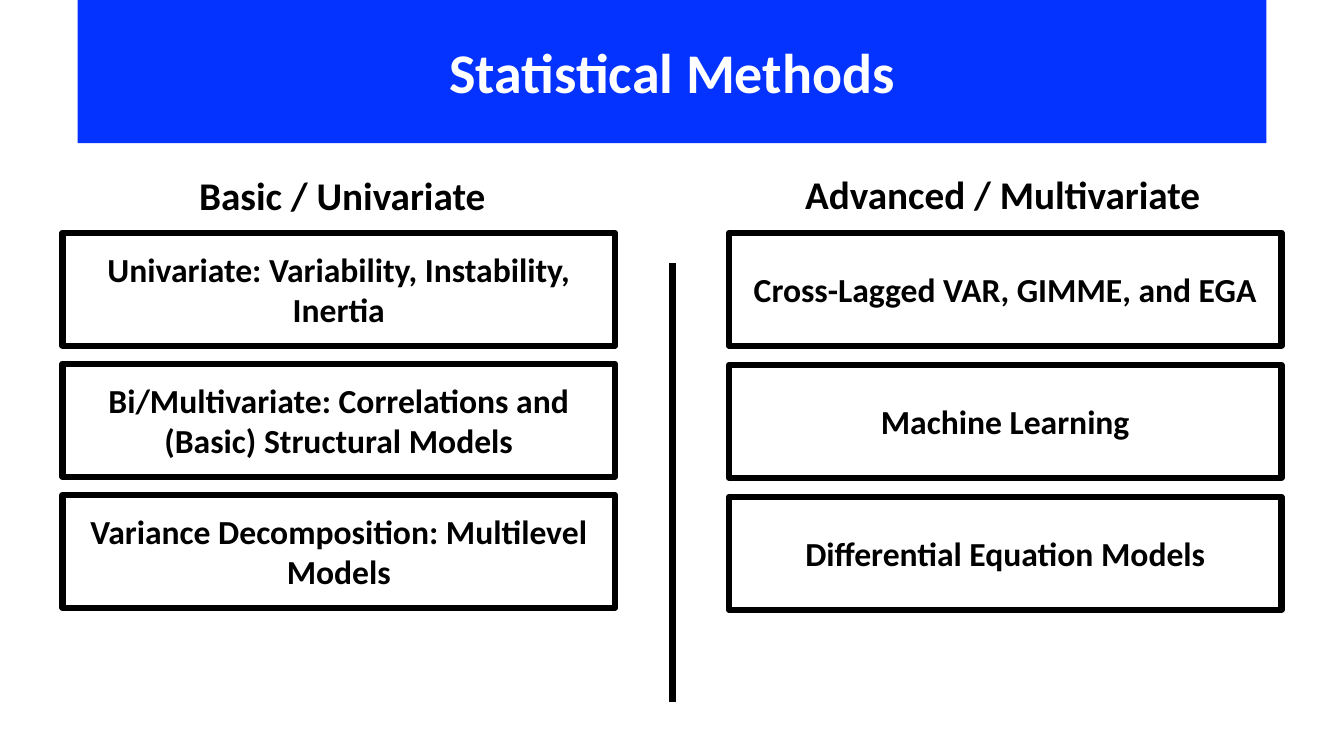
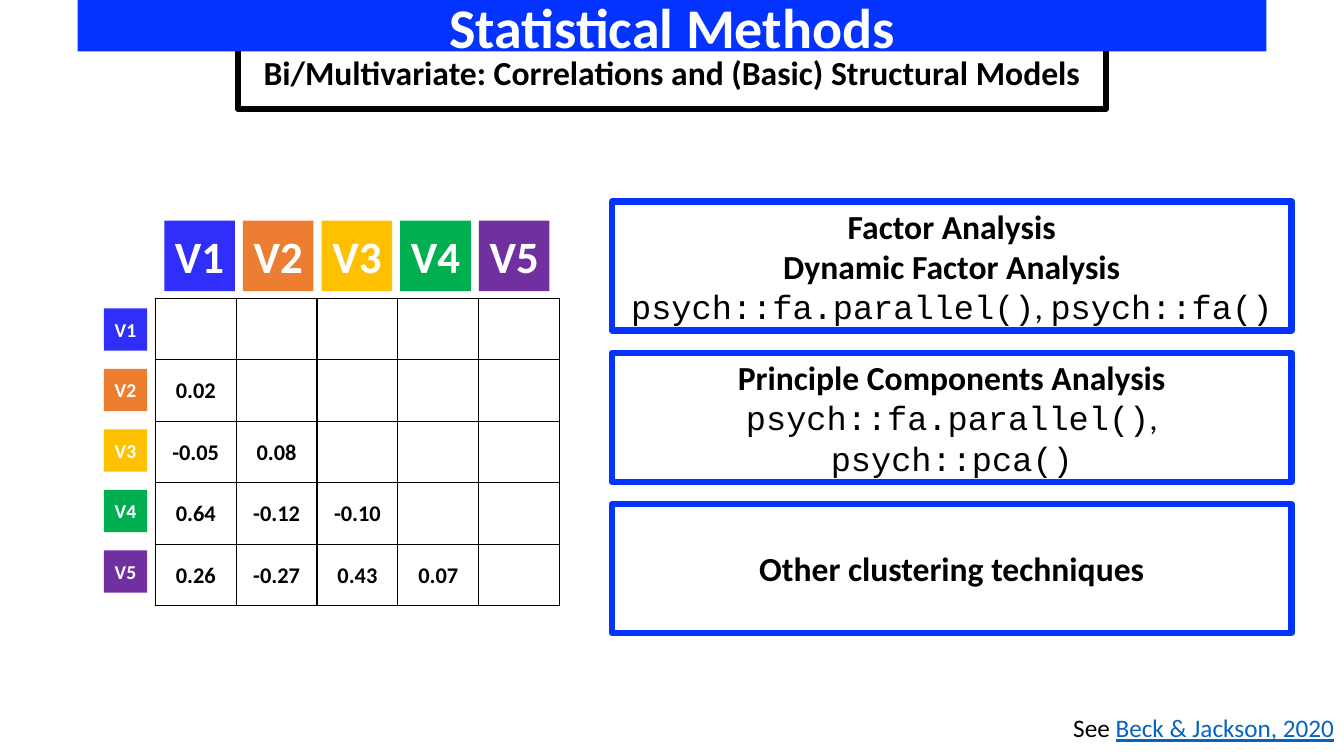
from dataclasses import dataclass

from lxml import etree
from pptx import Presentation
from pptx.dml.color import RGBColor
from pptx.enum.shapes import MSO_CONNECTOR, MSO_SHAPE
from pptx.enum.text import MSO_ANCHOR, MSO_AUTO_SIZE, PP_ALIGN
from pptx.oxml.ns import qn
from pptx.util import Inches, Pt

RECTANGLE = MSO_SHAPE.RECTANGLE
STRAIGHT = MSO_CONNECTOR.STRAIGHT
MIDDLE = MSO_ANCHOR.MIDDLE
CENTER = PP_ALIGN.CENTER
RIGHT = PP_ALIGN.RIGHT
NO_AUTOFIT = MSO_AUTO_SIZE.NONE

BLACK = "000000"
WHITE = "FFFFFF"
BLUE = "0432FF"
LINK_BLUE = "0563C1"
BODY_FONT = "Calibri"
CODE_FONT = "Courier New"
TITLE_ONLY = 5
BORDER_WIDTH = 4.5

DECK_TITLE = "Statistical Methods"
STRUCTURAL_MODELS = "Bi/Multivariate: Correlations and (Basic) Structural Models"


@dataclass
class Run:
    text: str
    color: str = BLACK
    font: str = BODY_FONT
    bold: bool = True
    underline: bool = False


def rgb(color):
    return RGBColor.from_string(color)


def code_line(*calls):
    runs = []
    for index, call in enumerate(calls):
        if index:
            runs.append(Run(", ", bold=False))
        runs.append(Run(call, font=CODE_FONT, bold=False))
    return runs


class Deck:
    def __init__(self):
        self.presentation = Presentation()
        self.presentation.slide_width = Inches(13.33)
        self.presentation.slide_height = Inches(7.5)
        self.slide = None

    def add_slide(self, band_height):
        layout = self.presentation.slide_layouts[TITLE_ONLY]
        self.slide = self.presentation.slides.add_slide(layout)
        title = self.slide.shapes.title
        title.left, title.top = Inches(0.77), Inches(0)
        title.width, title.height = Inches(11.79), Inches(band_height)
        self.paint(title, BLUE)
        self.fill_frame(title.text_frame, [[Run(DECK_TITLE, WHITE)]], 40)

    def paint(self, shape, fill=None, line=None):
        if fill:
            shape.fill.solid()
            shape.fill.fore_color.rgb = rgb(fill)
        else:
            shape.fill.background()
        if line:
            shape.line.color.rgb = rgb(line)
            shape.line.width = Pt(BORDER_WIDTH)
        else:
            shape.line.fill.background()

    def fill_frame(self, frame, paragraphs, size, alignment=CENTER):
        frame.word_wrap = True
        frame.auto_size = NO_AUTOFIT
        frame.vertical_anchor = MIDDLE
        for index, runs in enumerate(paragraphs):
            paragraph = frame.add_paragraph() if index else frame.paragraphs[0]
            self.fill_paragraph(paragraph, runs, size, alignment)

    def fill_paragraph(self, paragraph, runs, size, alignment=CENTER):
        paragraph.alignment = alignment
        for item in runs:
            run = paragraph.add_run()
            run.text = item.text
            run.font.name = item.font
            run.font.size = Pt(size)
            run.font.bold = item.bold
            run.font.underline = item.underline
            run.font.color.rgb = rgb(item.color)

    def box(self, left, top, width, height, paragraphs, size, fill=None, line=None):
        shape = self.slide.shapes.add_shape(
            RECTANGLE, Inches(left), Inches(top), Inches(width), Inches(height))
        shape.shadow.inherit = False
        self.paint(shape, fill, line)
        self.fill_frame(shape.text_frame, paragraphs, size)
        return shape

    def subtitle(self, text):
        shape = self.box(2.36, 0.34, 8.61, 0.74, [[Run(text)]], 24, WHITE, BLACK)
        self.slide.shapes.title.element.addprevious(shape.element)

    def note(self, left, top, width, height, runs):
        shape = self.slide.shapes.add_textbox(
            Inches(left), Inches(top), Inches(width), Inches(height))
        self.fill_frame(shape.text_frame, [runs], 18, RIGHT)

    def vertical_line(self, x, top, bottom):
        connector = self.slide.shapes.add_connector(
            STRAIGHT, Inches(x), Inches(top), Inches(x), Inches(bottom))
        connector.line.color.rgb = rgb(BLACK)
        connector.line.width = Pt(BORDER_WIDTH)
        etree.SubElement(connector.element.spPr, qn("a:effectLst"))

    def border_cell(self, cell):
        properties = cell._tc.get_or_add_tcPr()
        for side in ("a:lnL", "a:lnR", "a:lnT", "a:lnB"):
            line = etree.SubElement(properties, qn(side), w=str(Pt(1)))
            solid = etree.SubElement(line, qn("a:solidFill"))
            etree.SubElement(solid, qn("a:srgbClr"), val=BLACK)

    def lower_triangle(self, left, top, width, height, values):
        count = len(values)
        table = self.slide.shapes.add_table(
            count, count, Inches(left), Inches(top), Inches(width), Inches(height)).table
        table.first_row = False
        table.horz_banding = False
        for row, row_values in enumerate(values):
            for column in range(count):
                cell = table.cell(row, column)
                self.border_cell(cell)
                cell.fill.background()
                cell.vertical_anchor = MIDDLE
                cell.margin_left = cell.margin_right = cell.margin_top = Inches(0.01)
                cell.margin_bottom = Inches(0)
                if column < len(row_values):
                    runs = [Run(row_values[column])]
                    self.fill_paragraph(cell.text_frame.paragraphs[0], runs, 16)


def build_overview(deck):
    deck.add_slide(1.42)
    columns = [
        (0.62, 1.3, (0.68, 1.7), "Basic / Univariate", [
            "Univariate: Variability, Instability, Inertia",
            STRUCTURAL_MODELS,
            "Variance Decomposition: Multilevel Models",
        ]),
        (7.23, 1.31, (7.23, 1.69), "Advanced / Multivariate", [
            "Cross-Lagged VAR, GIMME, and EGA",
            "Machine Learning",
            "Differential Equation Models",
        ]),
    ]
    for left, pitch, heading_place, heading, methods in columns:
        for index, method in enumerate(methods):
            deck.box(left, 2.31 + index * pitch, 5.48, 1.12,
                     [[Run(method)]], 24, WHITE, BLACK)
        deck.box(*heading_place, 5.43, 0.46, [[Run(heading)]], 28, WHITE)
    deck.vertical_line(6.67, 2.61, 6.96)


def build_correlations(deck):
    deck.add_slide(0.51)
    deck.subtitle(STRUCTURAL_MODELS)
    deck.lower_triangle(1.54, 2.96, 4.01, 3.05, [
        [],
        ["0.02"],
        ["-0.05", "0.08"],
        ["0.64", "-0.12", "-0.10"],
        ["0.26", "-0.27", "0.43", "0.07"],
    ])
    variable_colors = ["302EF9", "ED7D31", "FFC000", "00B050", "7030A0"]
    for index, color in enumerate(variable_colors):
        label = [[Run(f"V{index + 1}", WHITE)]]
        deck.box(1.63 + index * 0.78, 2.19, 0.7, 0.7, label, 32, color)
        deck.box(1.03, 3.06 + index * 0.6, 0.43, 0.42, label, 14, color)
    techniques = [
        [
            [Run("Factor Analysis")],
            [Run("Dynamic Factor Analysis")],
            code_line("psych::fa.parallel()", "psych::fa()"),
        ],
        [
            [Run("Principle Components Analysis")],
            code_line("psych::fa.parallel()", "psych::pca()"),
        ],
        [[Run("Other clustering techniques")]],
    ]
    for index, paragraphs in enumerate(techniques):
        deck.box(6.07, 2 + index * 1.5, 6.74, 1.28, paragraphs, 24, line=BLUE)
    deck.note(10.17, 6.94, 3.16, 0.56, [
        Run("See ", bold=False),
        Run("Beck & Jackson, 2020", LINK_BLUE, bold=False, underline=True),
    ])


def main():
    deck = Deck()
    build_overview(deck)
    build_correlations(deck)
    deck.presentation.save("out.pptx")


if __name__ == "__main__":
    main()
